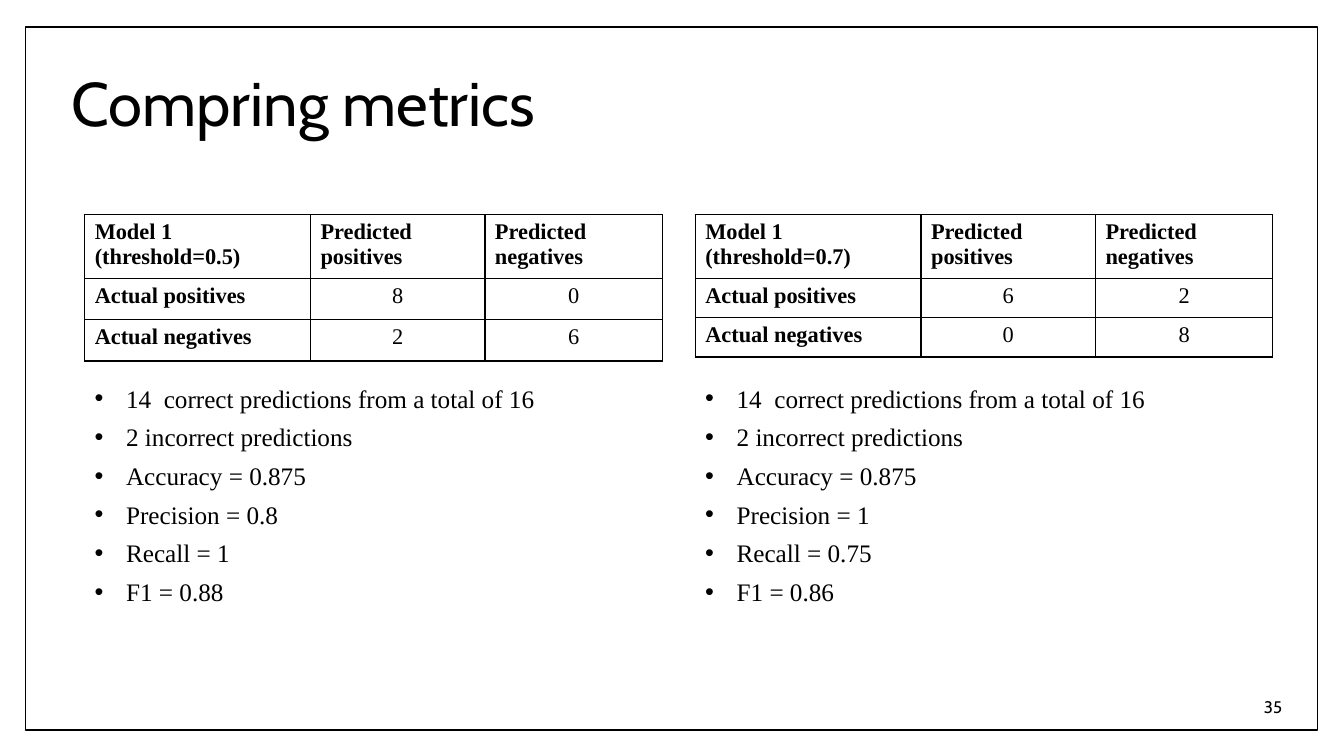
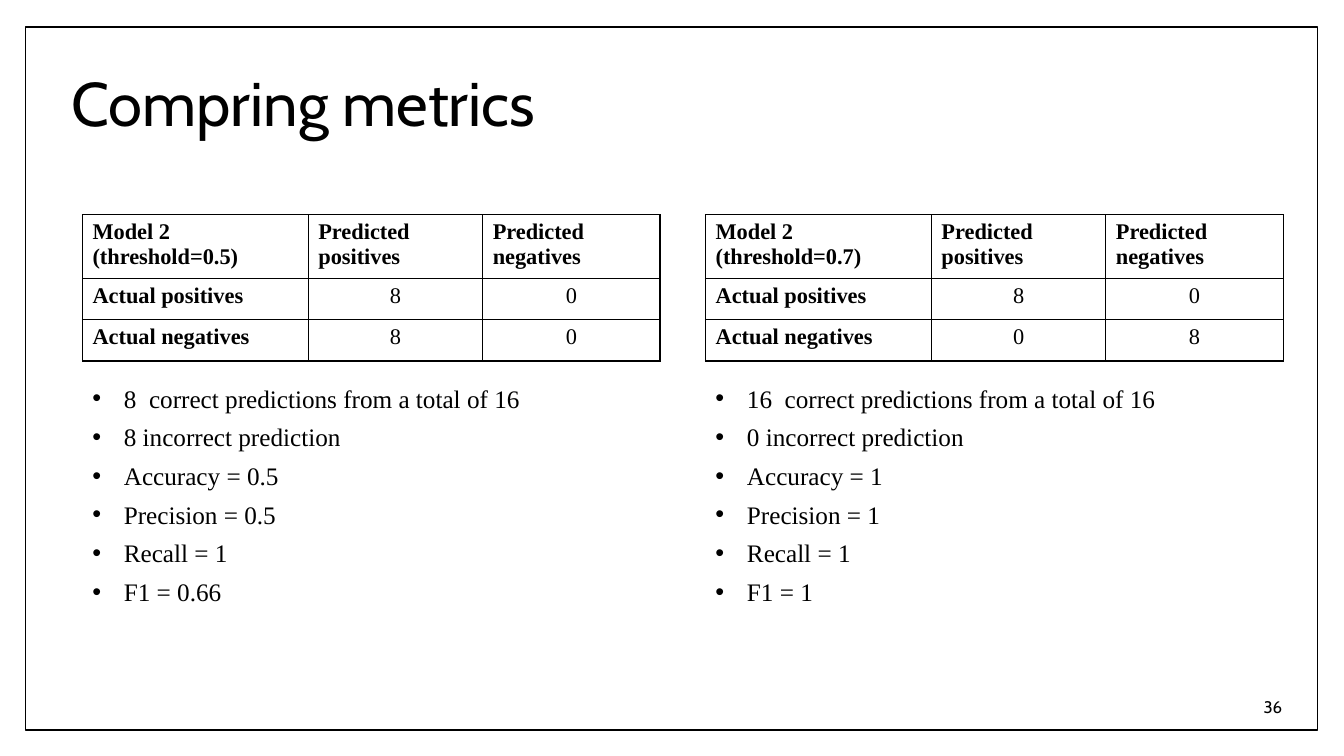
from lxml.etree import SubElement
from pptx import Presentation
from pptx.dml.color import RGBColor
from pptx.enum.shapes import MSO_SHAPE as Preset
from pptx.enum.text import MSO_ANCHOR as Anchor, PP_ALIGN as Align
from pptx.oxml import parse_xml
from pptx.oxml.ns import nsdecls, qn
from pptx.util import Pt

BLACK, WHITE = "000000", "FFFFFF"
HEADING_FONT, BODY_FONT = "Cabin", "Times New Roman"

TABLE_TOP, BULLETS_TOP = 153.4, 270
COLUMN_WIDTHS = (161.3, 124.6, 126.7)
HEADER_HEIGHT = 43.2
BULLET_INDENT = 22.5

# Each model: left edge, row height, header, actual positives and negatives,
# then the results listed below the table.
SLIDES = [
    (35, [
        (60.5, 29.4, "Model 1 (threshold=0.5)", (8, 0), (2, 6),
         ("14  correct predictions from a total of 16", "2 incorrect predictions",
          "Accuracy = 0.875", "Precision = 0.8", "Recall = 1", "F1 = 0.88")),
        (496.6, 28, "Model 1 (threshold=0.7)", (6, 2), (0, 8),
         ("14  correct predictions from a total of 16", "2 incorrect predictions",
          "Accuracy = 0.875", "Precision = 1", "Recall = 0.75", "F1 = 0.86")),
    ]),
    (36, [
        (58.9, 29.4, "Model 2\n(threshold=0.5)", (8, 0), (8, 0),
         ("8  correct predictions from a total of 16", "8 incorrect prediction",
          "Accuracy = 0.5", "Precision = 0.5", "Recall = 1", "F1 = 0.66")),
        (504, 29.4, "Model 2 (threshold=0.7)", (8, 0), (0, 8),
         ("16  correct predictions from a total of 16", "0 incorrect prediction",
          "Accuracy = 1", "Precision = 1", "Recall = 1", "F1 = 1")),
    ]),
]


def color(value):
    return RGBColor.from_string(value)


def add_bullet(paragraph):
    properties = paragraph._p.get_or_add_pPr()
    properties.set("marL", str(Pt(BULLET_INDENT)))
    properties.set("indent", str(-Pt(BULLET_INDENT)))
    SubElement(properties, qn("a:buFont")).set("typeface", "Arial")
    SubElement(properties, qn("a:buChar")).set("char", "•")


def write_text(frame, text, size=16, font=BODY_FONT, bold=False, align=Align.LEFT,
               line_spacing=None, space_before=0, bullet=False):
    """Fill a text frame, with one paragraph for each line of the text."""
    for index, line in enumerate(text.split("\n")):
        paragraph = frame.add_paragraph() if index else frame.paragraphs[0]
        paragraph.alignment = align
        paragraph.line_spacing = line_spacing
        paragraph.space_before = Pt(space_before if index else 0)
        if bullet:
            add_bullet(paragraph)
        run = paragraph.add_run()
        run.text = line
        run.font.size = Pt(size)
        run.font.name = font
        run.font.bold = bold
        run.font.color.rgb = color(BLACK)


def add_text(slide, text, left, top, width, height, anchor=Anchor.TOP, **text_format):
    frame = slide.shapes.add_textbox(Pt(left), Pt(top), Pt(width), Pt(height)).text_frame
    frame.word_wrap = True
    frame.vertical_anchor = anchor
    write_text(frame, text, **text_format)


def add_frame(slide):
    frame = slide.shapes.add_shape(Preset.RECTANGLE, Pt(18), Pt(19.4), Pt(923), Pt(502))
    frame.shadow.inherit = False
    frame.fill.solid()
    frame.fill.fore_color.rgb = color(WHITE)
    frame.line.color.rgb = color(BLACK)
    frame.line.width = Pt(1)


def set_borders(cell):
    properties = cell._tc.get_or_add_tcPr()
    for index, side in enumerate(("lnL", "lnR", "lnT", "lnB")):
        border = parse_xml(
            f'<a:{side} {nsdecls("a")} w="{Pt(1)}"><a:solidFill>'
            f'<a:srgbClr val="{BLACK}"/></a:solidFill></a:{side}>')
        properties.insert(index, border)


def add_confusion_matrix(slide, left, row_height, header, positives, negatives):
    rows = [(header, "Predicted positives", "Predicted negatives"),
            ("Actual positives", *positives),
            ("Actual negatives", *negatives)]
    heights = (HEADER_HEIGHT, row_height, row_height)
    table = slide.shapes.add_table(
        len(rows), len(COLUMN_WIDTHS), Pt(left), Pt(TABLE_TOP),
        Pt(sum(COLUMN_WIDTHS)), Pt(sum(heights))).table
    table.first_row = table.horz_banding = False
    for column, width in zip(table.columns, COLUMN_WIDTHS):
        column.width = Pt(width)
    for row, height, values in zip(table.rows, heights, rows):
        row.height = Pt(height)
        for cell, value in zip(row.cells, values):
            is_count = isinstance(value, int)
            cell.fill.background()
            set_borders(cell)
            write_text(cell.text_frame, str(value), bold=not is_count,
                       align=Align.CENTER if is_count else Align.LEFT)


def add_model(slide, left, row_height, header, positives, negatives, results):
    add_confusion_matrix(slide, left, row_height, header, positives, negatives)
    add_text(slide, "\n".join(results), left, BULLETS_TOP, 407, 168.5,
             size=18, space_before=6, bullet=True)


def add_metrics_slide(presentation, number, models):
    slide = presentation.slides.add_slide(presentation.slide_layouts[6])
    add_frame(slide)
    add_text(slide, "Compring metrics", 44, 23, 879, 106.6, anchor=Anchor.MIDDLE,
             size=44, font=HEADING_FONT, line_spacing=0.9)
    for model in models:
        add_model(slide, *model)
    add_text(slide, str(number), 788.4, 490.3, 134.6, 28.8, anchor=Anchor.MIDDLE,
             size=12, font=HEADING_FONT, align=Align.RIGHT)


def main():
    presentation = Presentation()
    presentation.slide_width = Pt(960)
    presentation.slide_height = Pt(540)
    for number, models in SLIDES:
        add_metrics_slide(presentation, number, models)
    presentation.save("out.pptx")


if __name__ == "__main__":
    main()
